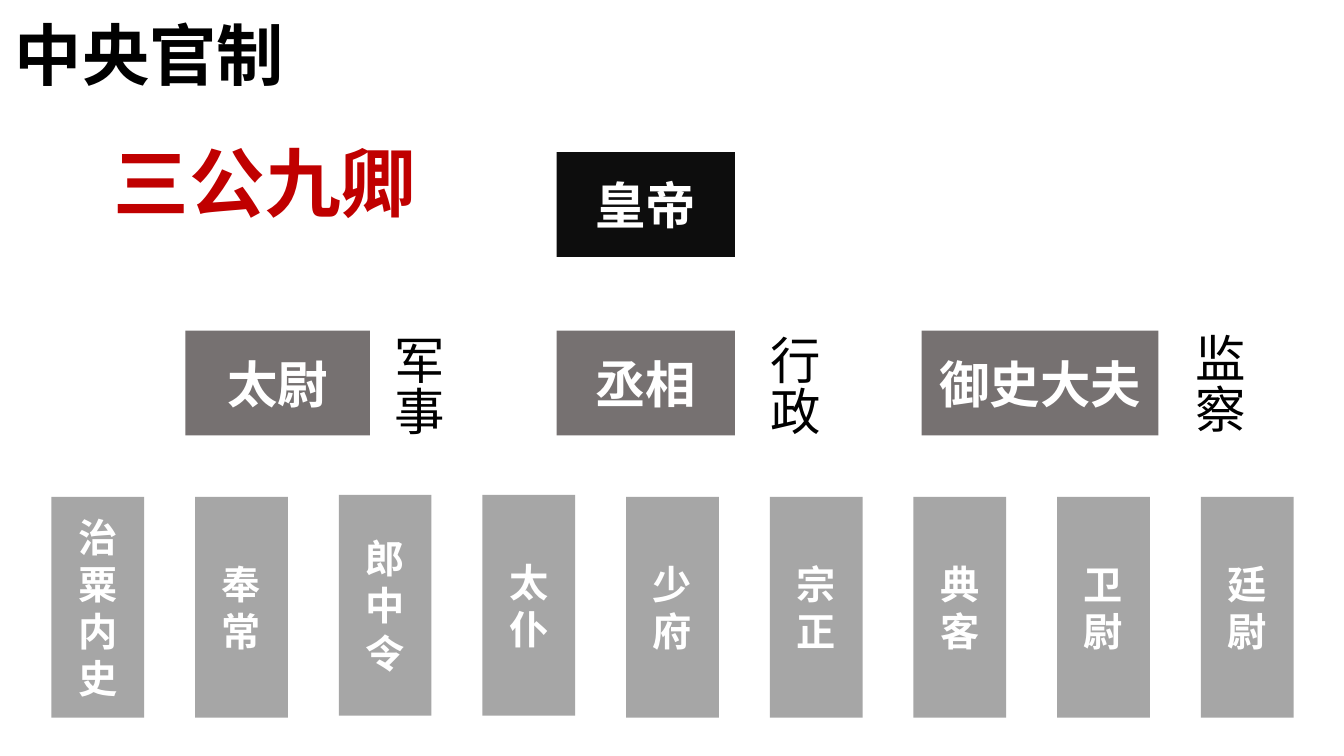
"""Build the slide on the Qin central government: three lords and nine ministers."""
import pptx
import pptx.dml.color
import pptx.enum.shapes
import pptx.enum.text
import pptx.oxml.ns
import pptx.util
from pptx.util import Inches

RGBColor = pptx.dml.color.RGBColor
BLACK = RGBColor(0x00, 0x00, 0x00)
WHITE = RGBColor(0xFF, 0xFF, 0xFF)
RED = RGBColor(0xC0, 0x00, 0x00)
EMPEROR = RGBColor(0x0D, 0x0D, 0x0D)
LORD = RGBColor(0x76, 0x71, 0x71)
MINISTER = RGBColor(0xA6, 0xA6, 0xA6)
BOLD_FONT = "Noto Sans CJK SC"
DUTY_FONT = "Noto Sans CJK JP"

prs = pptx.Presentation()
prs.slide_width, prs.slide_height = Inches(13.33), Inches(7.5)
s = prs.slides.add_slide(prs.slide_layouts[6])


def write(sp, text, size, color, name=BOLD_FONT, bold=True, align=None):
    """Fill a shape with one styled paragraph per line of text."""
    tf = sp.text_frame
    for i, line in enumerate(text.split("\n")):
        p = tf.paragraphs[0] if i == 0 else tf.add_paragraph()
        p.alignment = align
        r = p.add_run()
        r.text = line
        r.font.color.rgb = color
        for key, value in {"size": pptx.util.Pt(size), "name": name, "bold": bold}.items():
            setattr(r.font, key, value)
        ea = r.font._element.makeelement(pptx.oxml.ns.qn("a:ea"), {"typeface": name})
        r.font._element.append(ea)


def add_box(text, left, top, width, height, fill, size):
    """Add a filled rectangle with centred white text."""
    sp = s.shapes.add_shape(pptx.enum.shapes.MSO_SHAPE.RECTANGLE,
                            Inches(left), Inches(top), Inches(width), Inches(height))
    sp.shadow.inherit = False
    sp.fill.solid()
    sp.fill.fore_color.rgb = fill
    sp.line.fill.background()
    sp.text_frame.word_wrap = True
    sp.text_frame.vertical_anchor = pptx.enum.text.MSO_ANCHOR.MIDDLE
    write(sp, text, size, WHITE, align=pptx.enum.text.PP_ALIGN.CENTER)


officials = [
    ("皇帝", 5.52, 1.51, 1.77, EMPEROR),
    ("丞相", 5.52, 3.28, 1.77, LORD),
    ("御史大夫", 9.14, 3.28, 2.35, LORD),
    ("太尉", 1.84, 3.28, 1.83, LORD),
]
for text, left, top, width, fill in officials:
    add_box(text, left, top, width, 1.04, fill, 36)

ministers = ["治\n粟\n内\n史", "奉常", "郎中令", "太仆", "少府", "宗正", "典客", "卫尉", "廷尉"]
for i, text in enumerate(ministers):
    top = 4.91 if text in ("郎中令", "太仆") else 4.93
    add_box(text, 0.51 + i * 11.4 / 8, top, 0.92, 2.19, MINISTER, 28)

heading = {"size": 48, "color": BLACK}
slogan = {"size": 54, "color": RED}
duty = {"size": 36, "color": BLACK, "name": DUTY_FONT, "bold": False}
labels = [
    ("中央官制", 0.05, 0.08, 2.91, 0.91, heading),
    ("军事", 3.68, 3.23, 0.81, 1.15, duty),
    ("行政", 7.41, 3.23, 0.81, 1.15, duty),
    ("监察", 11.63, 3.21, 0.81, 1.15, duty),
    ("三公九卿", 1.03, 1.3, 3.25, 1.01, slogan),
]
for text, left, top, width, height, style in labels:
    sp = s.shapes.add_textbox(Inches(left), Inches(top), Inches(width), Inches(height))
    tf = sp.text_frame
    tf.word_wrap = False
    tf.auto_size = pptx.enum.text.MSO_AUTO_SIZE.SHAPE_TO_FIT_TEXT
    if style is duty:
        tf._txBody.bodyPr.set("vert", "eaVert")
    write(sp, text, **style)

prs.save("out.pptx")
